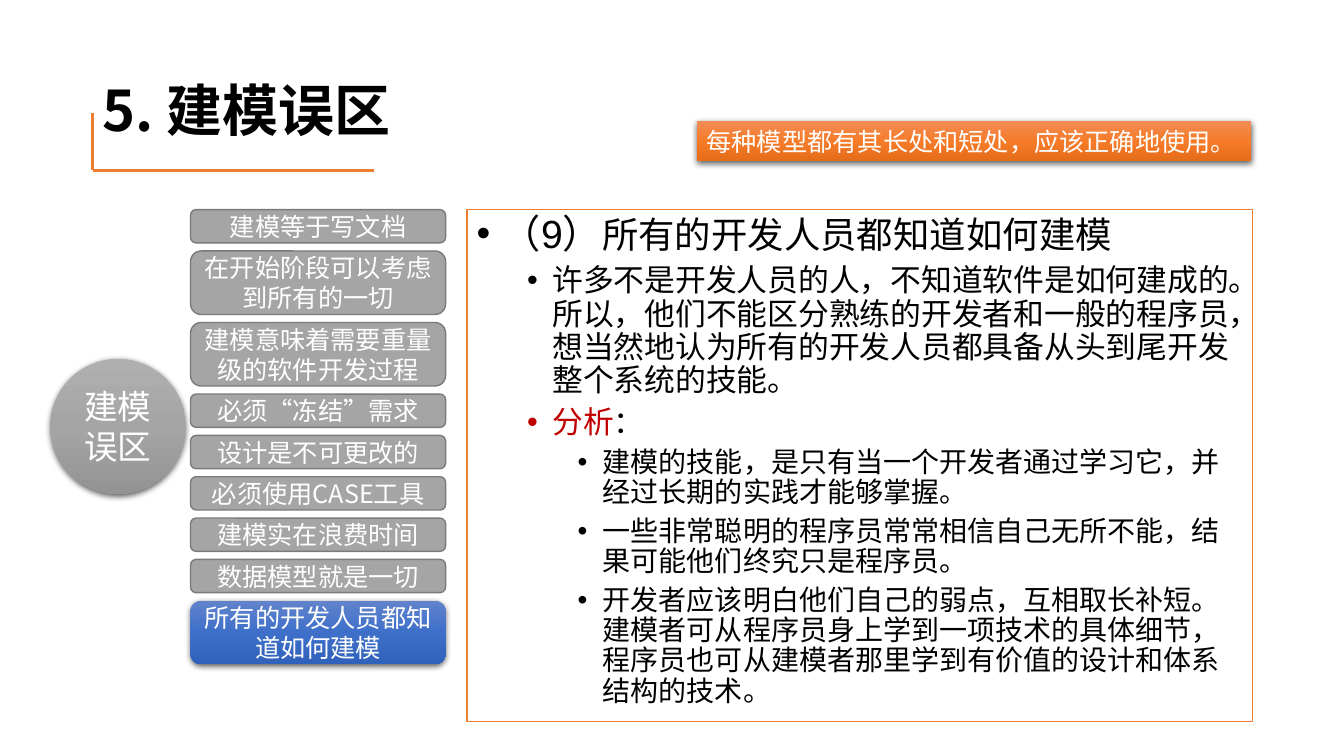
from lxml import etree
from pptx import Presentation
from pptx.dml.color import RGBColor
from pptx.enum.shapes import MSO_CONNECTOR, MSO_SHAPE
from pptx.enum.text import MSO_ANCHOR, PP_ALIGN
from pptx.oxml.ns import qn
from pptx.util import Inches, Pt

STRAIGHT = MSO_CONNECTOR.STRAIGHT
RECTANGLE, ROUNDED, OVAL = MSO_SHAPE.RECTANGLE, MSO_SHAPE.ROUNDED_RECTANGLE, MSO_SHAPE.OVAL
TOP, MIDDLE = MSO_ANCHOR.TOP, MSO_ANCHOR.MIDDLE
LEFT, CENTER = PP_ALIGN.LEFT, PP_ALIGN.CENTER

CJK, LATIN = "Noto Sans CJK SC", "Arial"
COLORS = {"black": "000000", "white": "FFFFFF", "orange": "ED7D31",
          "red": "C00000", "gray": "A5A5A5", "gray_edge": "7A7A7A"}
GRADIENTS = {"gray": ("AFAFAF", "A5A5A5", "939393"),
             "blue": ("6183CB", "3E70CA", "3062BB"),
             "orange": ("F18C57", "F67B28", "E56C19")}

# Myth labels with the number of lines each one takes
MYTHS = [("建模等于写文档", 1), ("在开始阶段可以考虑到所有的一切", 2),
         ("建模意味着需要重量级的软件开发过程", 2), ("必须“冻结”需求", 1),
         ("设计是不可更改的", 1), ("必须使用CASE工具", 1), ("建模实在浪费时间", 1),
         ("数据模型就是一切", 1), ("所有的开发人员都知道如何建模", 2)]
PILL_HEIGHTS = {1: 0.33, 2: 0.63}
PILL_GAP = 0.08

# Level, then runs of (text, size, font, color)
BODY = [
    (0, [("（9）", 28, LATIN, "black"), ("所有的开发人员都知道如何建模", 26, CJK, "black")]),
    (1, [("许多不是开发人员的人，不知道软件是如何建成的。所以，他们不能区分熟练的开发者和"
          "一般的程序员，想当然地认为所有的开发人员都具备从头到尾开发整个系统的技能。",
          22, LATIN, "black")]),
    (1, [("分析", 22, LATIN, "red"), ("：", 22, LATIN, "black")]),
    (2, [("建模的技能，是只有当一个开发者通过学习它，并经过长期的实践才能够掌握。",
          20, LATIN, "black")]),
    (2, [("一些非常聪明的程序员常常相信自己无所不能，结果可能他们终究只是程序员。",
          20, LATIN, "black")]),
    (2, [("开发者应该明白他们自己的弱点，互相取长补短。建模者可从程序员身上学到一项技术的"
          "具体细节，程序员也可从建模者那里学到有价值的设计和体系结构的技术。",
          20, LATIN, "black")]),
]


def rgb(name):
    return RGBColor.from_string(COLORS[name])


def add_run(paragraph, text, size, font_name, color, bold=False):
    run = paragraph.add_run()
    run.text = text
    run.font.size, run.font.bold, run.font.name = Pt(size), bold, font_name
    run.font.color.rgb = rgb(color)
    latin = run.font._element.find(qn("a:latin"))
    east_asian = etree.Element(qn("a:ea"), typeface=CJK)
    latin.addnext(east_asian)


def set_frame(shape, anchor, margin_x=0.1, margin_y=0.05, wrap=True):
    frame = shape.text_frame
    frame.word_wrap, frame.vertical_anchor = wrap, anchor
    frame.margin_left = frame.margin_right = Inches(margin_x)
    frame.margin_top = frame.margin_bottom = Inches(margin_y)
    return frame


def add_box(slide, kind, box, fill, edge=None):
    shape = slide.shapes.add_shape(kind, *map(Inches, box))
    shape.shadow.inherit = False
    shape.fill.solid()
    shape.fill.fore_color.rgb = rgb(fill)
    if edge:
        shape.line.color.rgb, shape.line.width = rgb(edge), Pt(1)
    else:
        shape.line.fill.background()
    return shape


def add_glossy_box(slide, kind, box, gradient):
    """A box with a vertical three-stop gradient and a soft shadow below."""
    shape = add_box(slide, kind, box, "white")
    properties = shape._element.spPr
    fill = etree.Element(qn("a:gradFill"), rotWithShape="1")
    stops = etree.SubElement(fill, qn("a:gsLst"))
    for index, color in enumerate(GRADIENTS[gradient]):
        stop = etree.SubElement(stops, qn("a:gs"), pos=str(index * 50000))
        etree.SubElement(stop, qn("a:srgbClr"), val=color)
    etree.SubElement(fill, qn("a:lin"), ang="5400000", scaled="0")
    properties.replace(properties.find(qn("a:solidFill")), fill)

    shadow = etree.SubElement(properties.find(qn("a:effectLst")), qn("a:outerShdw"),
                              blurRad=str(Pt(4.5)), dist=str(Pt(1.5)), dir="5400000",
                              algn="ctr", rotWithShape="0")
    color = etree.SubElement(shadow, qn("a:srgbClr"), val=COLORS["black"])
    etree.SubElement(color, qn("a:alpha"), val="63000")
    return shape


def add_label(shape, text, size, font_name=CJK, align=CENTER, **frame_options):
    paragraph = set_frame(shape, MIDDLE, **frame_options).paragraphs[0]
    paragraph.alignment = align
    add_run(paragraph, text, size, font_name, "white")


def add_rule(slide, *ends):
    line = slide.shapes.add_connector(STRAIGHT, *map(Inches, ends))
    line.line.color.rgb, line.line.width = rgb("orange"), Pt(2.25)
    etree.SubElement(line._element.spPr, qn("a:effectLst"))


def add_title(slide, text):
    title = slide.shapes.add_textbox(*map(Inches, (0.92, 0.4, 11.5, 1.45)))
    paragraph = set_frame(title, MIDDLE).paragraphs[0]
    paragraph.line_spacing = 0.9
    add_run(paragraph, text, 40, CJK, "black", bold=True)
    add_rule(slide, 0.92, 1.69, 3.71, 1.69)
    add_rule(slide, 0.92, 1.69, 0.92, 1.12)


def add_myths(slide):
    hub = add_glossy_box(slide, OVAL, (0.5, 3.56, 1.34, 1.34), "gray")
    add_label(hub, "建模误区", 24)
    top = 2.08
    for text, lines in MYTHS:
        box = (1.89, top, 2.53, PILL_HEIGHTS[lines])
        if text == MYTHS[-1][0]:
            pill = add_glossy_box(slide, ROUNDED, box, "blue")
        else:
            pill = add_box(slide, ROUNDED, box, "gray", "gray_edge")
        add_label(pill, text, 18, margin_y=0)
        top += PILL_HEIGHTS[lines] + PILL_GAP


def add_body(slide):
    panel = add_box(slide, RECTANGLE, (4.63, 2.08, 7.79, 5.08), "white", "orange")
    frame = set_frame(panel, TOP)
    for index, (level, runs) in enumerate(BODY):
        paragraph = frame.add_paragraph() if index else frame.paragraphs[0]
        paragraph.level, paragraph.alignment = level, LEFT
        paragraph.line_spacing = 0.9
        paragraph.space_before = Pt(6 if index else 0)
        properties = paragraph._p.get_or_add_pPr()
        properties.set("marL", str(Inches(0.25 + 0.5 * level)))
        properties.set("indent", str(Inches(-0.25)))
        etree.SubElement(properties, qn("a:buFont"), typeface=LATIN)
        etree.SubElement(properties, qn("a:buChar"), char="•")
        for run in runs:
            add_run(paragraph, *run)


def main():
    presentation = Presentation()
    presentation.slide_width, presentation.slide_height = Inches(13.33), Inches(7.5)
    slide = presentation.slides.add_slide(presentation.slide_layouts[6])
    add_title(slide, "5. 建模误区")
    add_myths(slide)
    add_body(slide)
    banner = add_glossy_box(slide, RECTANGLE, (6.91, 1.2, 5.5, 0.4), "orange")
    add_label(banner, "每种模型都有其长处和短处，应该正确地使用。", 18, LATIN, LEFT, wrap=False)
    presentation.save("out.pptx")


if __name__ == "__main__":
    main()
